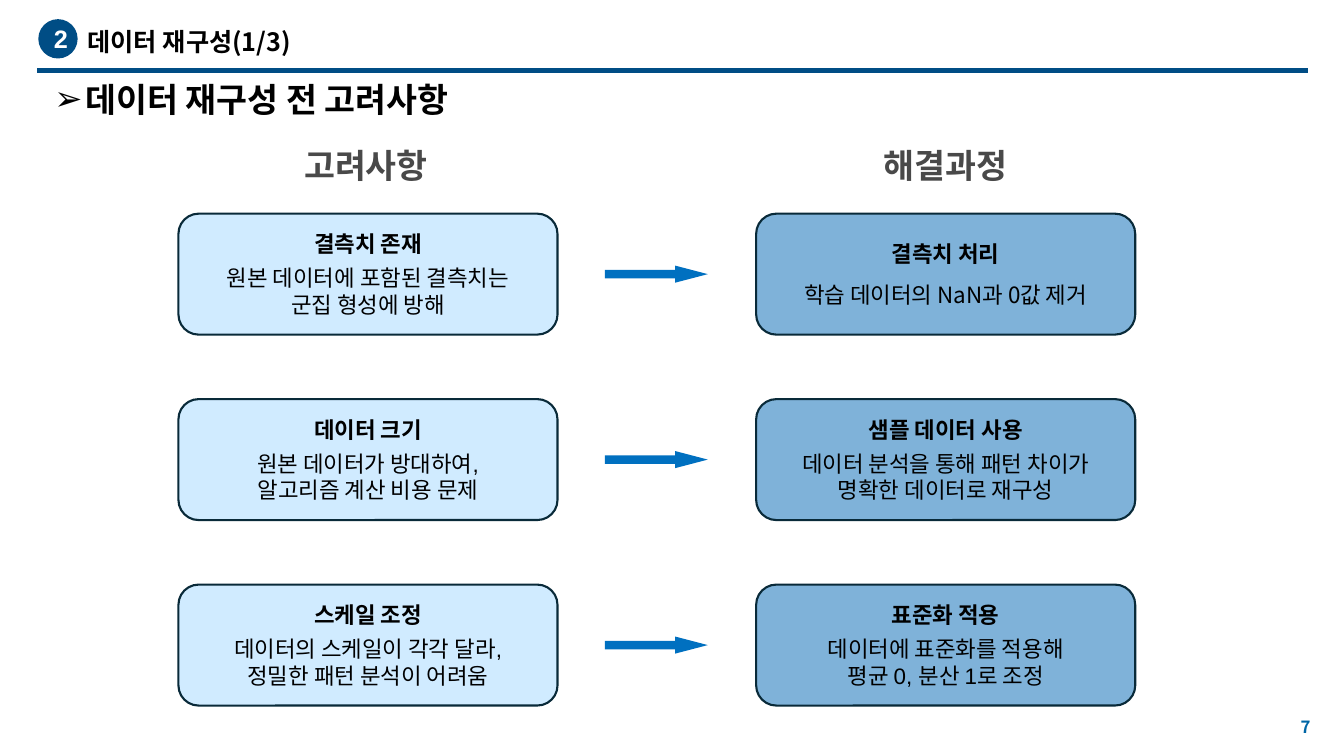
import pptx
import pptx.util
import pptx.dml.color
import pptx.enum.shapes
import pptx.enum.text
from lxml import etree
from pptx.oxml.ns import qn

Inches, Pt = pptx.util.Inches, pptx.util.Pt
SHAPE = pptx.enum.shapes.MSO_SHAPE
ALIGN = pptx.enum.text.PP_ALIGN
ANCHOR = pptx.enum.text.MSO_ANCHOR

# Content
SECTION = "2"
TITLE = "데이터 재구성(1/3)"
HEADING = "데이터 재구성 전 고려사항"
PAGE = "7"
NOTO, ARIAL = "Noto Sans CJK KR", "Arial"
# Columns: header, header left, box left, fill
COLUMNS = [
    ("고려사항", 2.83, 1.77, "A3D8FF"),
    ("해결과정", 8.58, 7.5, "0067B4"),
]
# Rows: one (title, body paragraphs, body font, gap in points) per column
ROWS = [
    [("결측치 존재", ["원본 데이터에 포함된 결측치는\n군집 형성에 방해"], ARIAL, 5),
     ("결측치 처리", ["학습 데이터의 NaN과 0값 제거"], NOTO, 10)],
    [("데이터 크기", ["원본 데이터가 방대하여,\n알고리즘 계산 비용 문제"], ARIAL, 5),
     ("샘플 데이터 사용", ["데이터 분석을 통해 패턴 차이가\n명확한 데이터로 재구성"], ARIAL, 5)],
    [("스케일 조정", ["데이터의 스케일이 각각 달라,\n정밀한 패턴 분석이 어려움"], ARIAL, 5),
     ("표준화 적용", ["데이터에 표준화를 적용해", "평균 0, 분산 1로 조정"], ARIAL, 5)],
]
BOX_W, BOX_H, ROW_TOP, ROW_STEP = 3.76, 1.2, 2.12, 1.84
ARROW_LEFT, ARROW_W, ARROW_H = 6, 1.02, 0.17


def rgb(value):
    return pptx.dml.color.RGBColor.from_string(value)


def write(tf, text, first=True, size=16, font=NOTO, color="000000", bold=False,
          align=ALIGN.LEFT, before=0, spacing=None, margin=0, bullet=None, track=None):
    p = tf.paragraphs[0] if first else tf.add_paragraph()
    p.alignment = align
    if spacing:
        p.line_spacing = spacing
    if before:
        p.space_before = Pt(before)
    ppr = p._p.get_or_add_pPr()
    if margin:
        ppr.set("marL", str(Inches(margin)))
    if bullet:
        ppr.set("indent", str(-Inches(margin)))
        etree.SubElement(ppr, qn("a:buFont")).set("typeface", ARIAL)
        etree.SubElement(ppr, qn("a:buChar")).set("char", bullet)
    for i, line in enumerate(text.split("\n")):
        if i:
            p.add_line_break()
        r = p.add_run()
        r.text = line
        r.font.size, r.font.bold, r.font.name = Pt(size), bold, font
        r.font.color.rgb = rgb(color)
        rpr = r.font._element
        etree.SubElement(rpr, qn("a:ea")).set("typeface", NOTO)
        if track:
            rpr.set("spc", str(track))


def add_text(x, y, w, h, text, anchor=ANCHOR.TOP, wrap=True, inset=None, **fmt):
    tf = s.shapes.add_textbox(Inches(x), Inches(y), Inches(w), Inches(h)).text_frame
    tf.word_wrap, tf.vertical_anchor = wrap, anchor
    if inset is not None:
        tf.margin_left = tf.margin_right = tf.margin_top = tf.margin_bottom = Inches(inset)
    write(tf, text, **fmt)


def add_shape(kind, x, y, w, h, fill, alpha=None, line=None):
    sp = s.shapes.add_shape(kind, Inches(x), Inches(y), Inches(w), Inches(h))
    sp.shadow.inherit = False
    sp.fill.solid()
    sp.fill.fore_color.rgb = rgb(fill)
    if alpha:
        clr = sp._element.spPr.find(".//" + qn("a:srgbClr"))
        etree.SubElement(clr, qn("a:alpha")).set("val", str(alpha * 1000))
    if line:
        sp.line.color.rgb = rgb(line)
        sp.line.width = Pt(1.5)
    else:
        sp.line.fill.background()
    sp.text_frame.word_wrap = True
    sp.text_frame.vertical_anchor = ANCHOR.MIDDLE
    return sp


prs = pptx.Presentation()
prs.slide_width, prs.slide_height = Inches(13.33), Inches(7.5)
s = prs.slides.add_slide(prs.slide_layouts[6])

# Title bar
rule = s.shapes.add_connector(pptx.enum.shapes.MSO_CONNECTOR.STRAIGHT,
                              Inches(0.37), Inches(0.7), Inches(12.97), Inches(0.7))
rule.line.color.rgb = rgb("004D85")
rule.line.width = Pt(3)
etree.SubElement(rule._element.spPr, qn("a:effectLst"))
add_text(0.77, 0.08, 11.79, 0.51, TITLE, anchor=ANCHOR.MIDDLE,
         size=18, bold=True, spacing=1.5)
badge = add_shape(SHAPE.OVAL, 0.38, 0.19, 0.39, 0.39, "004D85")
tf = badge.text_frame
tf.margin_left = tf.margin_right = tf.margin_top = tf.margin_bottom = Inches(0.1)
write(tf, SECTION, size=18, font=ARIAL, color="FFFFFF", bold=True, align=ALIGN.CENTER)
add_text(0.44, 0.73, 4.58, 0.5, HEADING, wrap=False, size=24, bold=True,
         margin=0.31, bullet="➢")

# Column headers
for header, header_left, _, _ in COLUMNS:
    add_text(header_left, 1.39, 1.6, 0.5, header, size=24, font=ARIAL,
             color="494949", bold=True, align=ALIGN.CENTER)

# Boxes and the arrow between them, row by row
for i, row in enumerate(ROWS):
    top = ROW_TOP + i * ROW_STEP
    for (_, _, left, fill), (title, body, font, gap) in zip(COLUMNS, row):
        box = add_shape(SHAPE.ROUNDED_RECTANGLE, left, top, BOX_W, BOX_H,
                        fill, alpha=50, line="092A39")
        write(box.text_frame, title, bold=True, align=ALIGN.CENTER)
        for j, text in enumerate(body):
            write(box.text_frame, text, first=False, font=font, align=ALIGN.CENTER,
                  before=0 if j else gap)
    arrow = add_shape(SHAPE.RIGHT_ARROW, ARROW_LEFT, top + (BOX_H - ARROW_H) / 2,
                      ARROW_W, ARROW_H, "0070C0")
    arrow.adjustments[0], arrow.adjustments[1] = 0.5, 1.91

# Page number
add_text(12.86, 7.11, 0.29, 0.25, PAGE, inset=0, size=12, color="0066A6",
         bold=True, margin=0.04, track=-20)

prs.save("out.pptx")
